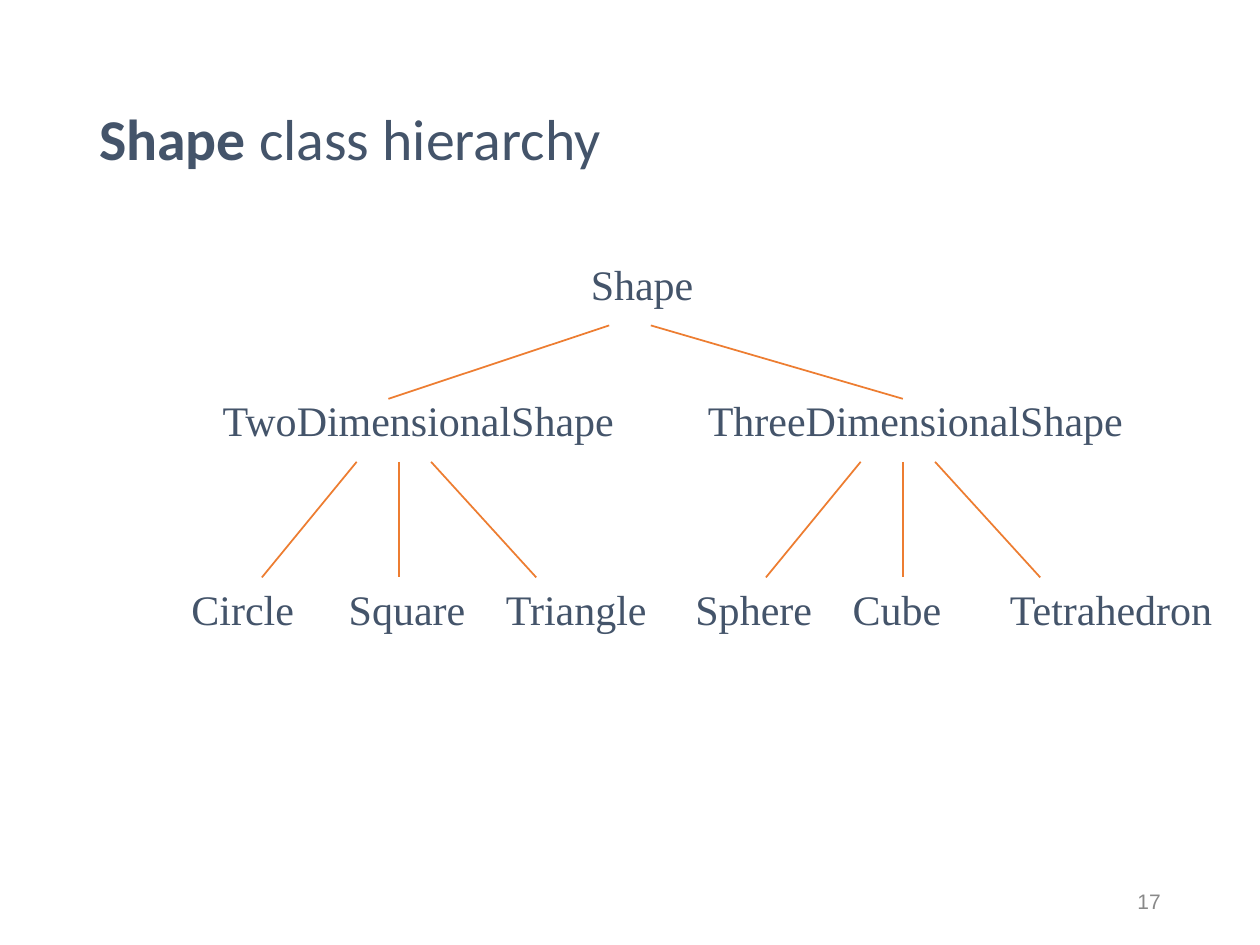
from dataclasses import dataclass
from lxml.etree import SubElement
from pptx import Presentation
from pptx.dml.color import RGBColor as RGB
from pptx.enum.shapes import MSO_CONNECTOR as CONN
from pptx.enum.text import MSO_ANCHOR as ANCHOR, MSO_AUTO_SIZE as AUTO, PP_ALIGN as ALIGN
from pptx.oxml.ns import qn
from pptx.util import Cm, Pt


@dataclass(frozen=True)
class Theme:
    ink: RGB = RGB(0x44, 0x54, 0x6A)
    accent: RGB = RGB(0xED, 0x7D, 0x31)
    muted: RGB = RGB(0x89, 0x89, 0x89)
    title_font: str = "Calibri"
    node_font: str = "Times New Roman"
    number_font: str = "Arial"
    title_size: int = 33
    node_size: int = 24
    number_size: int = 12
    line_width: int = 1


def add_run(p, text, *, font, size, color, bold=False):
    r = p.add_run()
    r.text = text
    r.font.name, r.font.size, r.font.bold = font, Pt(size), bold
    r.font.color.rgb = color


class SlideBuilder:
    """Draws the elements of a class hierarchy slide in one theme."""

    def __init__(self, slide, theme):
        self.s, self.theme = slide, theme

    def box(self, shapes, x, y, w, h):
        sp = shapes.add_textbox(Cm(x), Cm(y), Cm(w), Cm(h))
        sp.text_frame.word_wrap = True
        return sp.text_frame

    def title(self, bold_text, text):
        t = self.theme
        tf = self.box(self.s.shapes, 1.75, 1.02, 21.92, 3.68)
        tf.vertical_anchor = ANCHOR.MIDDLE
        p = tf.paragraphs[0]
        p.line_spacing = 0.9
        style = dict(font=t.title_font, size=t.title_size, color=t.ink)
        add_run(p, bold_text, bold=True, **style)
        add_run(p, text, **style)

    def number(self, text):
        t = self.theme
        tf = self.box(self.s.shapes, 17.93, 17.65, 5.72, 1.02)
        tf.vertical_anchor = ANCHOR.MIDDLE
        p = tf.paragraphs[0]
        p.alignment = ALIGN.RIGHT
        add_run(p, text, font=t.number_font, size=t.number_size, color=t.muted)

    def node(self, text, x, y, w, shapes=None):
        t = self.theme
        tf = self.box(shapes or self.s.shapes, x, y, w, 1.27)
        tf.word_wrap = False
        tf.auto_size = AUTO.SHAPE_TO_FIT_TEXT
        add_run(tf.paragraphs[0], text, font=t.node_font, size=t.node_size, color=t.ink)

    def line(self, x1, y1, x2, y2, shapes=None):
        shapes = shapes or self.s.shapes
        c = shapes.add_connector(CONN.STRAIGHT, Cm(x1), Cm(y1), Cm(x2), Cm(y2))
        c.line.color.rgb = self.theme.accent
        c.line.width = Pt(self.theme.line_width)
        SubElement(c._element.spPr, qn("a:effectLst"))

    def branch(self, x, leaves):
        shapes = self.s.shapes.add_group_shape().shapes
        for i, (text, w) in enumerate(leaves):
            self.node(text, x + 3.17 * i, 11.64, w, shapes)
        for top, bottom in ((3.58, 1.67), (4.44, 4.44), (5.08, 7.2)):
            self.line(x + top, 9.31, x + bottom, 11.64, shapes)


def main():
    prs = Presentation()
    prs.slide_width, prs.slide_height = Cm(25.4), Cm(19.05)
    b = SlideBuilder(prs.slides.add_slide(prs.slide_layouts[6]), Theme())
    b.title("Shape ", "class hierarchy")
    b.number("17")
    b.node("Shape", 11.66, 5.08, 2.6)
    b.node("TwoDimensionalShape", 4.24, 7.83, 8.5)
    b.node("ThreeDimensionalShape", 14.02, 7.83, 8.9)
    b.line(12.28, 6.56, 7.83, 8.04)
    b.line(13.12, 6.56, 18.2, 8.04)
    b.branch(3.61, [("Circle", 2.6), ("Square", 2.88), ("Triangle", 3.4)])
    b.branch(13.77, [("Sphere", 2.88), ("Cube", 2.31), ("Tetrahedron", 4.68)])
    prs.save("out.pptx")


if __name__ == "__main__":
    main()
